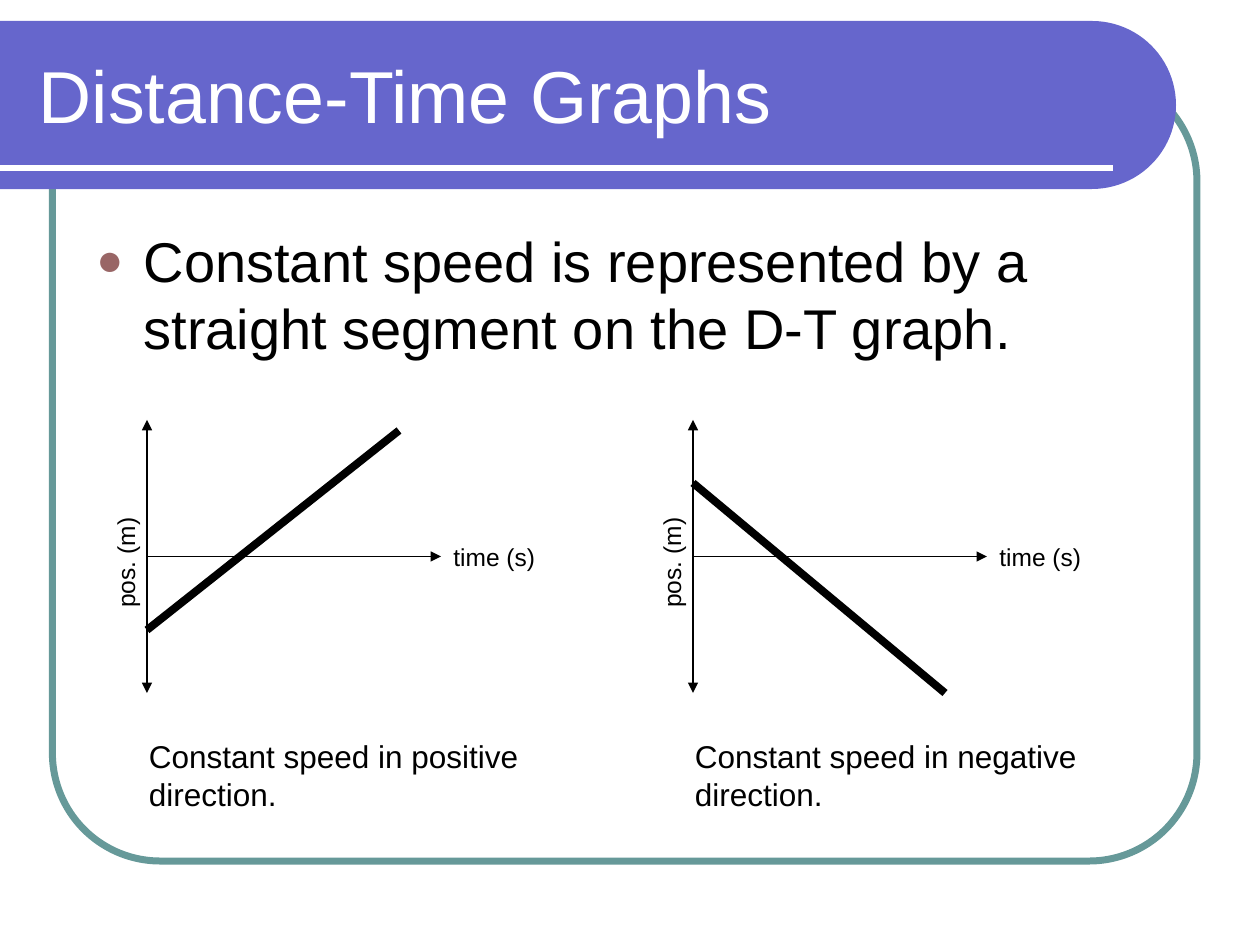
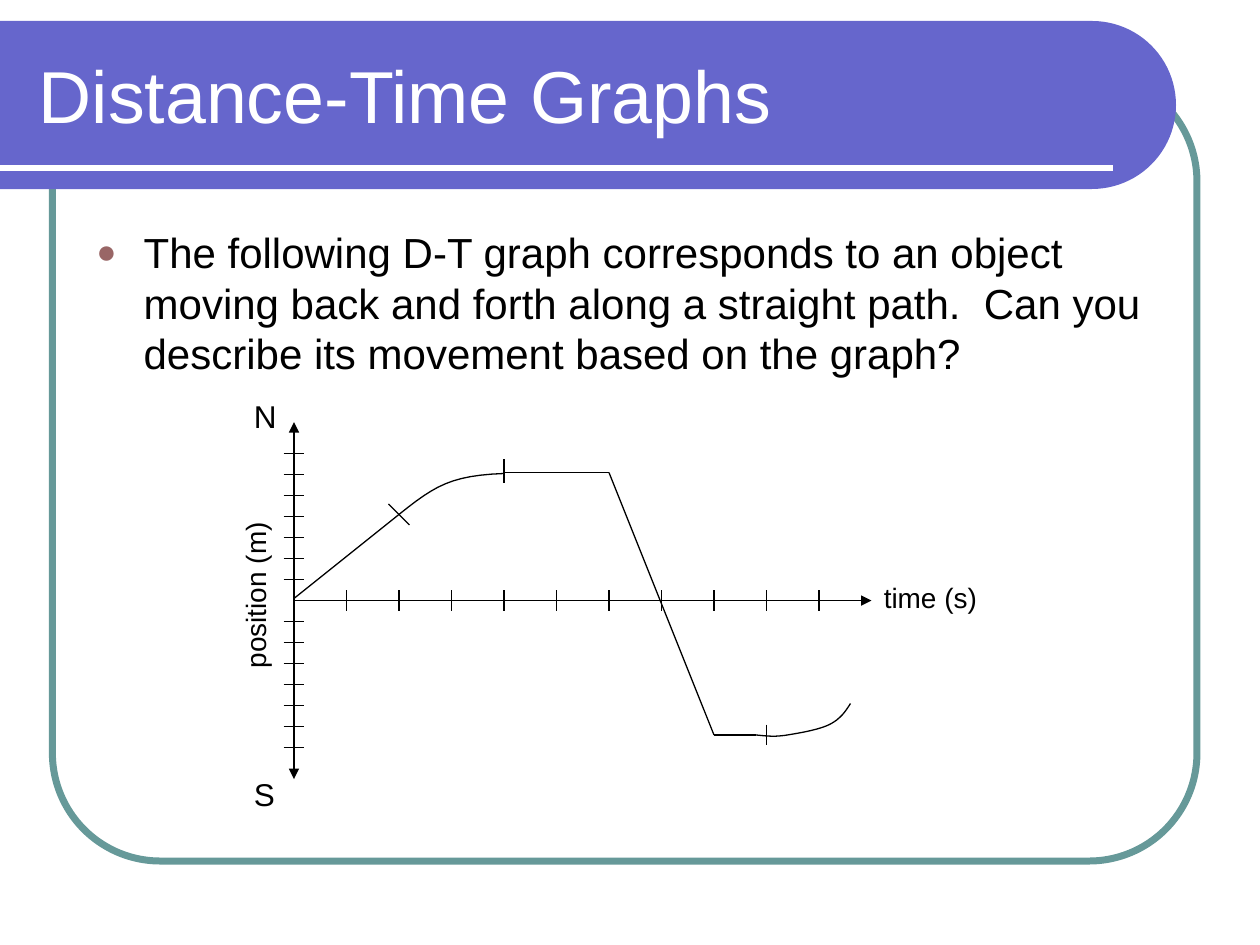
from math import cos, pi, sin

from lxml.etree import SubElement
from pptx import Presentation
from pptx.dml.color import RGBColor
from pptx.enum.shapes import MSO_CONNECTOR as Link, MSO_SHAPE as Preset
from pptx.enum.text import MSO_ANCHOR as Anchor, PP_ALIGN as Align
from pptx.oxml.ns import qn
from pptx.util import Pt

EMU_PER_PX = 7620  # 120 px to the inch
FONT = "Arial"
BLACK, WHITE = "000000", "FFFFFF"
BAND, FRAME, BULLET = "6666CC", "669999", "996666"


def px(length):
    return round(length * EMU_PER_PX)


def color(hex_string):
    return RGBColor.from_string(hex_string)


# Drawing helpers

def add_line(slide, start, end, weight=0.75, hue=BLACK, arrows=()):
    """arrows holds headEnd and/or tailEnd."""
    line = slide.shapes.add_connector(Link.STRAIGHT, *map(px, (*start, *end)))
    line.line.color.rgb = color(hue)
    line.line.width = Pt(weight)
    outline = line.line._get_or_add_ln()
    for arrow in arrows:
        SubElement(outline, qn(f"a:{arrow}"), type="triangle")
    SubElement(line._element.spPr, qn("a:effectLst"))


def add_outline(slide, points, closed):
    corners = [(px(x), px(y)) for x, y in points]
    builder = slide.shapes.build_freeform(*corners[0])
    builder.add_line_segments(corners[1:], close=closed)
    outline = builder.convert_to_shape()
    outline.shadow.inherit = False
    return outline


def bezier(start, *controls, steps=12):
    """Points along a chain of cubic curves, three controls to a curve."""
    points = [start]
    for i in range(0, len(controls), 3):
        curve = [points[-1], *controls[i:i + 3]]
        for step in range(1, steps + 1):
            t = step / steps
            weights = ((1 - t) ** 3, 3 * t * (1 - t) ** 2,
                       3 * t * t * (1 - t), t ** 3)
            points.append(tuple(sum(w * p[axis] for w, p in zip(weights, curve))
                                for axis in (0, 1)))
    return points


def add_text(slide, box, words, size, hue=BLACK, before=0, align=Align.LEFT,
             anchor=Anchor.TOP, turn=0):
    label = slide.shapes.add_textbox(*map(px, box))
    label.rotation = turn
    frame = label.text_frame
    frame.word_wrap = True
    frame.vertical_anchor = anchor
    frame.text = words
    paragraph = frame.paragraphs[0]
    paragraph.alignment = align
    paragraph.space_before = Pt(before)
    font = paragraph.runs[0].font
    font.name, font.size = FONT, Pt(size)
    font.color.rgb = color(hue)
    return paragraph


# Parts shared by the slides

def add_backdrop(slide):
    frame = slide.shapes.add_shape(Preset.ROUNDED_RECTANGLE,
                                   *map(px, (50, 70, 1090, 750)))
    frame.adjustments[0] = 0.137
    frame.shadow.inherit = False
    frame.fill.background()
    frame.line.color.rgb = color(FRAME)
    frame.line.width = Pt(4)

    # Title band with a round right end
    top, radius, center = 20, 80, 1040
    angles = [pi * i / 48 - pi / 2 for i in range(49)]
    round_end = [(center + radius * cos(a), top + radius + radius * sin(a))
                 for a in angles]
    band = add_outline(slide, [(0, top), *round_end, (0, top + 2 * radius)], True)
    band.fill.solid()
    band.fill.fore_color.rgb = color(BAND)
    band.line.fill.background()
    add_line(slide, (0, 160), (1060, 160), 3, WHITE)


def add_bullet(slide, box, words, size):
    paragraph = add_text(slide, box, words, size, before=size / 4)
    props = paragraph._p.get_or_add_pPr()
    props.set("marL", str(px(45)))
    props.set("indent", str(px(-45)))
    SubElement(SubElement(props, qn("a:buClr")), qn("a:srgbClr"), val=BULLET)
    SubElement(props, qn("a:buSzPct"), val="80000")
    SubElement(props, qn("a:buFont"), typeface=FONT)
    SubElement(props, qn("a:buChar"), char="●")


def add_content_slide(deck, statement, size):
    slide = deck.slides.add_slide(deck.slide_layouts[6])
    add_backdrop(slide)
    add_text(slide, (25, 30, 1052, 120), "Distance-Time Graphs", 42, WHITE,
             anchor=Anchor.MIDDLE)
    add_bullet(slide, (80, 210, 1040, 180), statement, size)
    return slide


# Graphs

def add_axes(slide, left, top, width, height):
    middle = top + height / 2
    add_line(slide, (left, top), (left, top + height),
             arrows=("headEnd", "tailEnd"))
    add_line(slide, (left, middle), (left + width, middle), arrows=("tailEnd",))


def add_speed_graph(slide, left, top, start_y, end_y, caption):
    add_axes(slide, left, top, 280, 260)
    add_text(slide, (left + 280, top + 110, 110, 41), "time (s)", 14, before=8.8)
    add_text(slide, (left - 75, top + 115, 110, 41), "pos. (m)", 14, before=8.8,
             turn=270)
    add_line(slide, (left, top + start_y), (left + 240, top + end_y), 4.5)
    add_text(slide, (left - 10, top + 296, 410, 84), caption, 18, before=11.2)


def add_journey_graph(slide, left, top, width, height):
    middle = top + height / 2

    def at(x, y):
        return left + x, middle + y

    # Axes with ticks
    add_axes(slide, left, top, width, height)
    for step in range(1, 8):
        for y in (-20 * step, 20 * step):
            add_line(slide, at(-10, y), at(10, y))
    for x in range(50, width, 50):
        add_line(slide, at(x, -10), at(x, 10))

    # Axis labels
    add_text(slide, (*at(width, -25), 120, 44), "time (s)", 16, before=10)
    add_text(slide, (*at(-132, -27), 190, 44), "position (m)", 16, before=10,
             align=Align.CENTER, turn=270)
    for direction, y in (("N", -200), ("S", 160)):
        add_text(slide, (*at(-50, y), 50, 48), direction, 18, before=11.2)

    # Straight stretches
    stretches = [((0, -2), (100, -82)), ((200, -122), (300, -122)),
                 ((300, -122), (400, 128)), ((400, 128), (440, 128))]
    # Marks between the stages
    marks = [((90, -92), (110, -72)), ((200, -112), (200, -135)),
             ((450, 118), (450, 138))]
    for start, end in stretches + marks:
        add_line(slide, at(*start), at(*end))

    # Slowing down, then turning back
    slowing = bezier((100, -82), (135, -110), (150, -119), (200, -121))
    turning = bezier((440, 128), (450, 129), (458, 130), (470, 128),
                     (482, 126), (500, 123), (510, 118),
                     (520, 113), (525, 106), (530, 98))
    for points in (slowing, turning):
        curve = add_outline(slide, [at(*point) for point in points], False)
        curve.fill.background()
        curve.line.color.rgb = color(BLACK)
        curve.line.width = Pt(0.75)


def main():
    deck = Presentation()
    deck.slide_width, deck.slide_height = px(1200), px(900)

    constant_speed = add_content_slide(
        deck, "Constant speed is represented by a straight segment on the "
        "D-T graph.", 32)
    cases = [("positive", 200, 10), ("negative", 60, 260)]
    for i, (direction, start_y, end_y) in enumerate(cases):
        add_speed_graph(constant_speed, 140 + 520 * i, 400, start_y, end_y,
                        f"Constant speed in {direction} direction.")

    journey = add_content_slide(
        deck, "The following D-T graph corresponds to an object moving back "
        "and forth along a straight path.  Can you describe its movement "
        "based on the graph?", 24)
    add_journey_graph(journey, 280, 402, 550, 340)

    deck.save("out.pptx")


if __name__ == "__main__":
    main()
